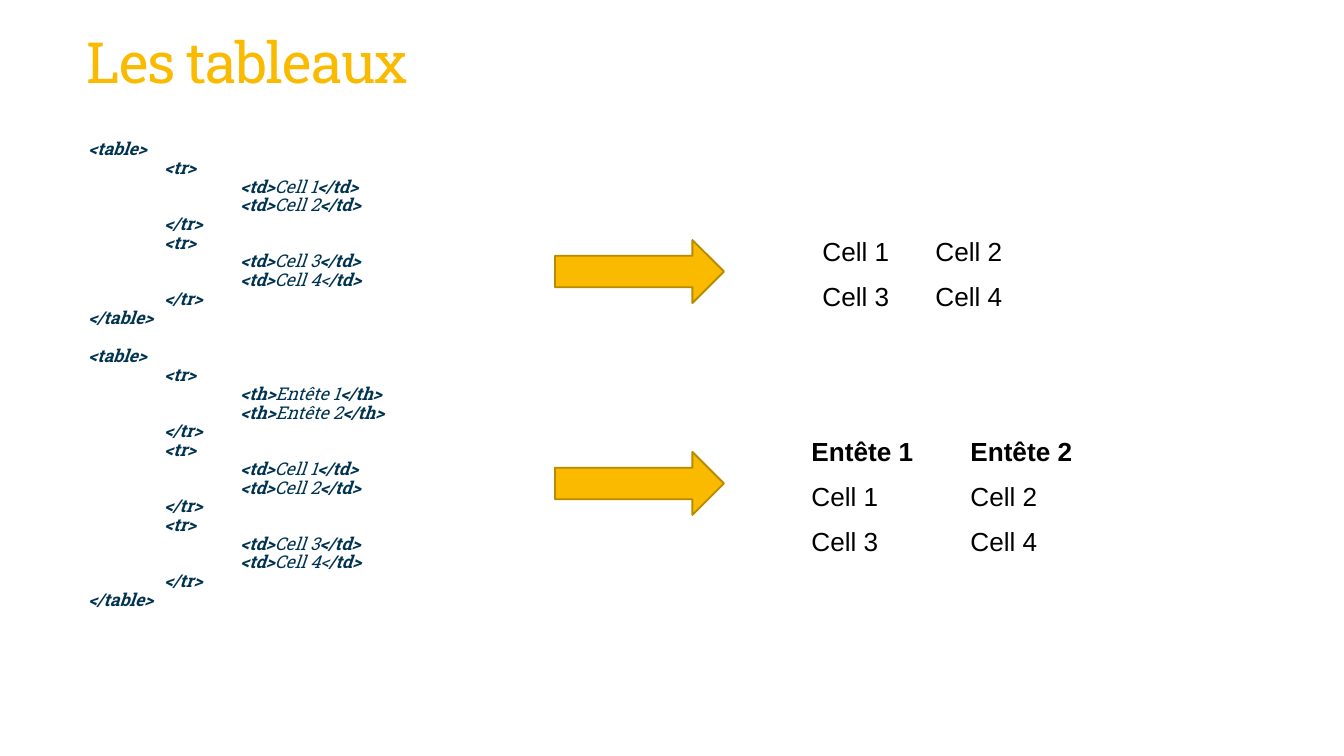
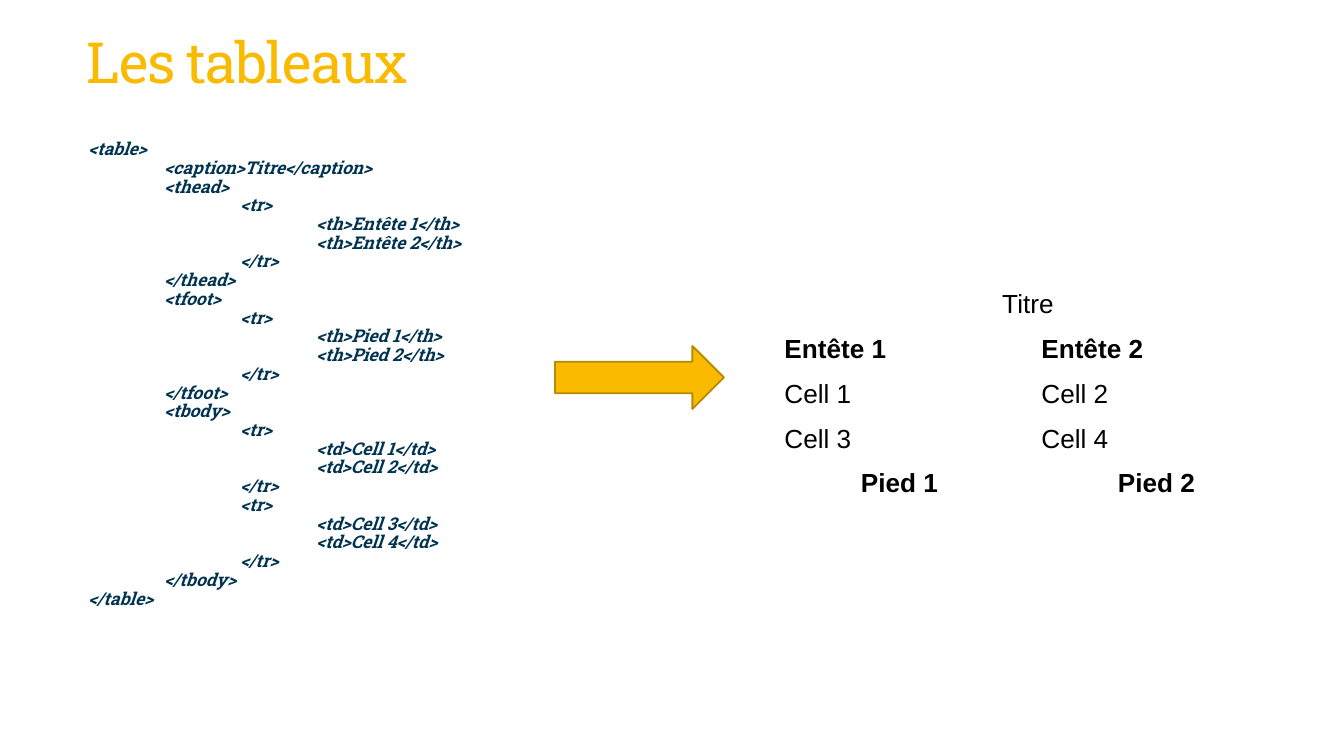
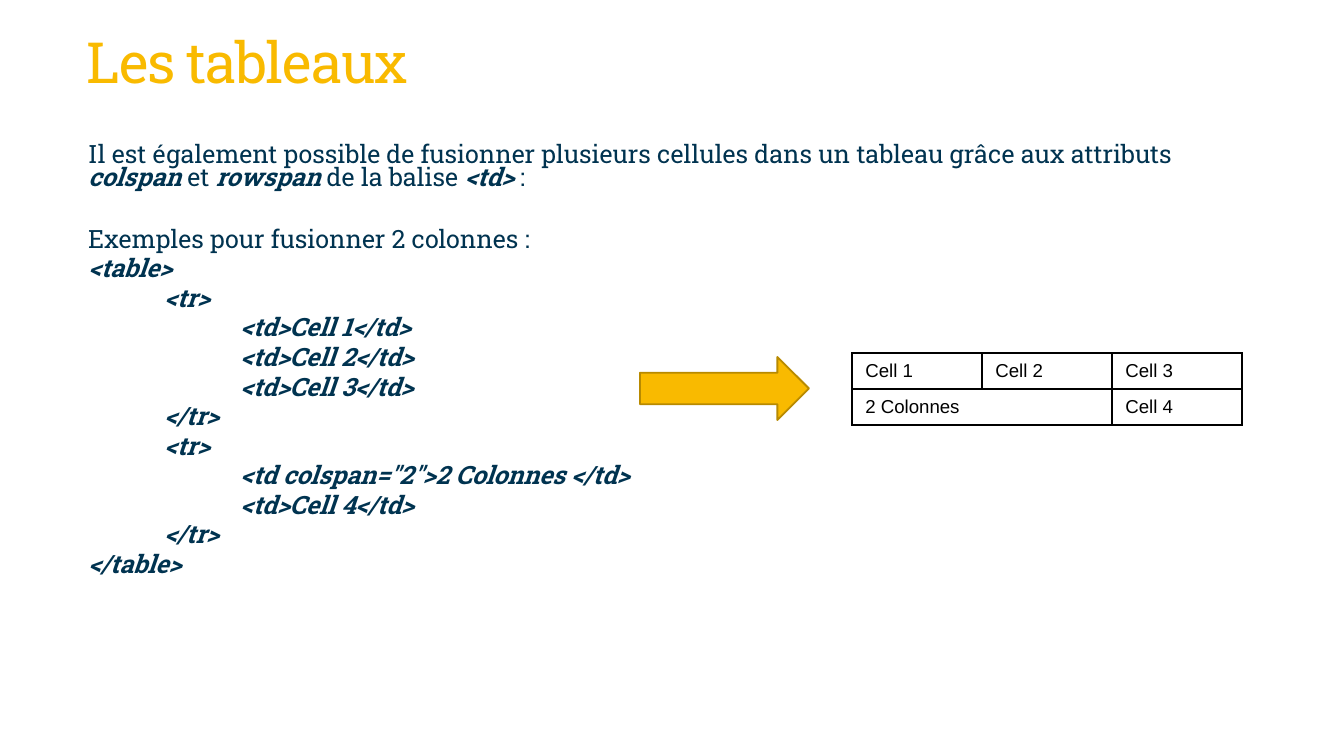
"""Build three slides on HTML tables, each showing markup beside its result."""
import dataclasses

import pptx
import pptx.dml.color
import pptx.enum.shapes
import pptx.enum.text
import pptx.oxml
import pptx.oxml.ns
import pptx.util

PX_PER_INCH = 134.4
SLIDE_SIZE = (1344, 756)
TITLE_BOX = (73, 20, 1188, 93)
BODY_BOX = (75, 138, 1185, 509)
ARROW_SIZE = (169, 63)
INDENT = 76
ROW_HEIGHT = 36

TITLE = "Les tableaux"
HEAD_FONT = "Roboto Slab"
CELL_FONT = "Arial"
YELLOW = "F9BA00"
DARK_YELLOW = "B88A00"
NAVY = "003350"
BLACK = "000000"


@dataclasses.dataclass(frozen=True)
class Line:
    text: str
    depth: int = 0
    is_code: bool = True
    gap_before: bool = False


@dataclasses.dataclass(frozen=True)
class BodyStyle:
    size: float
    line_spacing: float
    space_before: float
    gap: float


@dataclasses.dataclass(frozen=True)
class Result:
    left: int
    top: int
    column_width: int
    rows: list[list[str]]
    size: int = 14
    bold_rows: tuple[int, ...] = ()
    centred_rows: tuple[int, ...] = ()
    merged_row: int | None = None
    bordered: bool = False


@dataclasses.dataclass(frozen=True)
class Lesson:
    lines: list[Line]
    style: BodyStyle
    arrows: list[tuple[int, int]]
    results: list[Result]


SMALL = BodyStyle(9.4, 0.65, 2.7, 10.74)
LARGE = BodyStyle(13.5, 0.78, 3.2, 17.1)


def px(length: int) -> int:
    return pptx.util.Emu(round(length * 914400 / PX_PER_INCH))


def rgb(value: str) -> pptx.dml.color.RGBColor:
    return pptx.dml.color.RGBColor.from_string(value)


def leaf(tag: str, text: str, mark: str = "") -> Line:
    return Line(f"<{tag}>{mark}{text}{mark}</{tag}>")


def nest(tag: str, *children: Line) -> list[Line]:
    inner = [dataclasses.replace(child, depth=child.depth + 1) for child in children]
    return [Line(f"<{tag}>"), *inner, Line(f"</{tag}>")]


def row(tag: str, *texts: str, mark: str = "") -> list[Line]:
    return nest("tr", *(leaf(tag, text, mark) for text in texts))


def set_font(font, name: str, size: float, color: str) -> None:
    font.name = name
    font.size = pptx.util.Pt(size)
    font.color.rgb = rgb(color)


def add_title(page) -> None:
    title = page.shapes.title
    title.left, title.top, title.width, title.height = map(px, TITLE_BOX)
    frame = title.text_frame
    frame.vertical_anchor = pptx.enum.text.MSO_ANCHOR.MIDDLE
    frame.auto_size = pptx.enum.text.MSO_AUTO_SIZE.NONE
    para = frame.paragraphs[0]
    para.alignment = pptx.enum.text.PP_ALIGN.LEFT
    para.line_spacing = 0.85
    set_font(para.font, HEAD_FONT, 30.4, YELLOW)
    span = para.add_run()
    span.text = TITLE
    span._r.get_or_add_rPr().set("spc", "-70")


def add_body(page, lines: list[Line], style: BodyStyle) -> None:
    box = page.shapes.add_textbox(*map(px, BODY_BOX))
    frame = box.text_frame
    frame.word_wrap = True
    for number, line in enumerate(lines):
        para = frame.add_paragraph() if number else frame.paragraphs[0]
        para.line_spacing = style.line_spacing
        extra = style.gap if line.gap_before else 0
        para.space_before = pptx.util.Pt(style.space_before + extra)
        para._p.get_or_add_pPr().set("marL", str(px(line.depth * INDENT)))
        set_font(para.font, HEAD_FONT, style.size, NAVY)
        for part, text in enumerate(line.text.split("|")):
            span = para.add_run()
            span.text = text
            span.font.bold = (part % 2 == 0) == line.is_code
            span.font.italic = line.is_code or span.font.bold


def add_arrow(page, left: int, top: int) -> None:
    arrow = page.shapes.add_shape(
        pptx.enum.shapes.MSO_SHAPE.RIGHT_ARROW, *map(px, (left, top, *ARROW_SIZE))
    )
    arrow.shadow.inherit = False
    arrow.fill.solid()
    arrow.fill.fore_color.rgb = rgb(YELLOW)
    arrow.line.color.rgb = rgb(DARK_YELLOW)
    arrow.line.width = pptx.util.Pt(1)


def add_borders(cell) -> None:
    for side in ("L", "R", "T", "B"):
        cell._tc.get_or_add_tcPr().append(pptx.oxml.parse_xml(
            f'<a:ln{side} {pptx.oxml.ns.nsdecls("a")} w="12700"><a:solidFill>'
            f'<a:srgbClr val="{BLACK}"/></a:solidFill></a:ln{side}>'
        ))


def add_result(page, result: Result) -> None:
    row_count, column_count = len(result.rows), len(result.rows[0])
    area = (result.left, result.top,
            result.column_width * column_count, ROW_HEIGHT * row_count)
    table = page.shapes.add_table(row_count, column_count, *map(px, area)).table
    table.first_row = False
    table.horz_banding = False
    for column in table.columns:
        column.width = px(result.column_width)
    for y, texts in enumerate(result.rows):
        table.rows[y].height = px(ROW_HEIGHT)
        for x, text in enumerate(texts):
            cell = table.cell(y, x)
            if result.bordered:
                add_borders(cell)
            cell.fill.background()
            cell.vertical_anchor = pptx.enum.text.MSO_ANCHOR.MIDDLE
            para = cell.text_frame.paragraphs[0]
            if y in result.centred_rows:
                para.alignment = pptx.enum.text.PP_ALIGN.CENTER
            set_font(para.font, CELL_FONT, result.size, BLACK)
            para.font.bold = y in result.bold_rows
            if text:
                para.add_run().text = text
    if result.merged_row is not None:
        table.cell(result.merged_row, 0).merge(table.cell(result.merged_row, 1))


def lessons() -> list[Lesson]:
    cells = [["Cell 1", "Cell 2"], ["Cell 3", "Cell 4"]]
    headers = ["Entête 1", "Entête 2"]
    footers = ["Pied 1", "Pied 2"]
    marked_rows = [
        *row("td", *cells[0], mark="|"),
        *nest("tr", leaf("td", "Cell 3", "|"), Line("<td>|Cell 4<|/td>")),
    ]
    headed = nest("table", *row("th", *headers, mark="|"), *marked_rows)
    headed[0] = dataclasses.replace(headed[0], gap_before=True)
    full = nest(
        "table",
        leaf("caption", "Titre"),
        *nest("thead", *row("th", *headers)),
        *nest("tfoot", *row("th", *footers)),
        *nest("tbody", *row("td", *cells[0]), *row("td", *cells[1])),
    )
    merged = [
        Line("Il est également possible de fusionner plusieurs cellules dans un "
             "tableau grâce aux attributs |colspan |et |rowspan |de la balise "
             "|<td> |:", is_code=False),
        Line("Exemples pour fusionner 2 colonnes :", is_code=False, gap_before=True),
        *nest(
            "table",
            *row("td", "Cell 1", "Cell 2", "Cell 3"),
            *nest("tr", Line('<td colspan="2">2 Colonnes </td>'), leaf("td", "Cell 4")),
        ),
    ]
    return [
        Lesson(nest("table", *marked_rows) + headed, SMALL, [(555, 240), (555, 452)], [
            Result(809, 230, 113, cells),
            Result(798, 430, 159, [headers, *cells], bold_rows=(0,)),
        ]),
        Lesson(full, SMALL, [(555, 346)], [
            Result(771, 282, 257, [["Titre", ""], headers, *cells, footers],
                   bold_rows=(1, 4), centred_rows=(0, 4), merged_row=0),
        ]),
        Lesson(merged, LARGE, [(640, 357)], [
            Result(852, 353, 130,
                   [["Cell 1", "Cell 2", "Cell 3"], ["2 Colonnes", "", "Cell 4"]],
                   size=10, merged_row=1, bordered=True),
        ]),
    ]


def main() -> None:
    deck = pptx.Presentation()
    deck.slide_width, deck.slide_height = map(px, SLIDE_SIZE)
    for lesson in lessons():
        page = deck.slides.add_slide(deck.slide_layouts[5])
        add_title(page)
        add_body(page, lesson.lines, lesson.style)
        for left, top in lesson.arrows:
            add_arrow(page, left, top)
        for result in lesson.results:
            add_result(page, result)
    deck.save("out.pptx")


if __name__ == "__main__":
    main()
